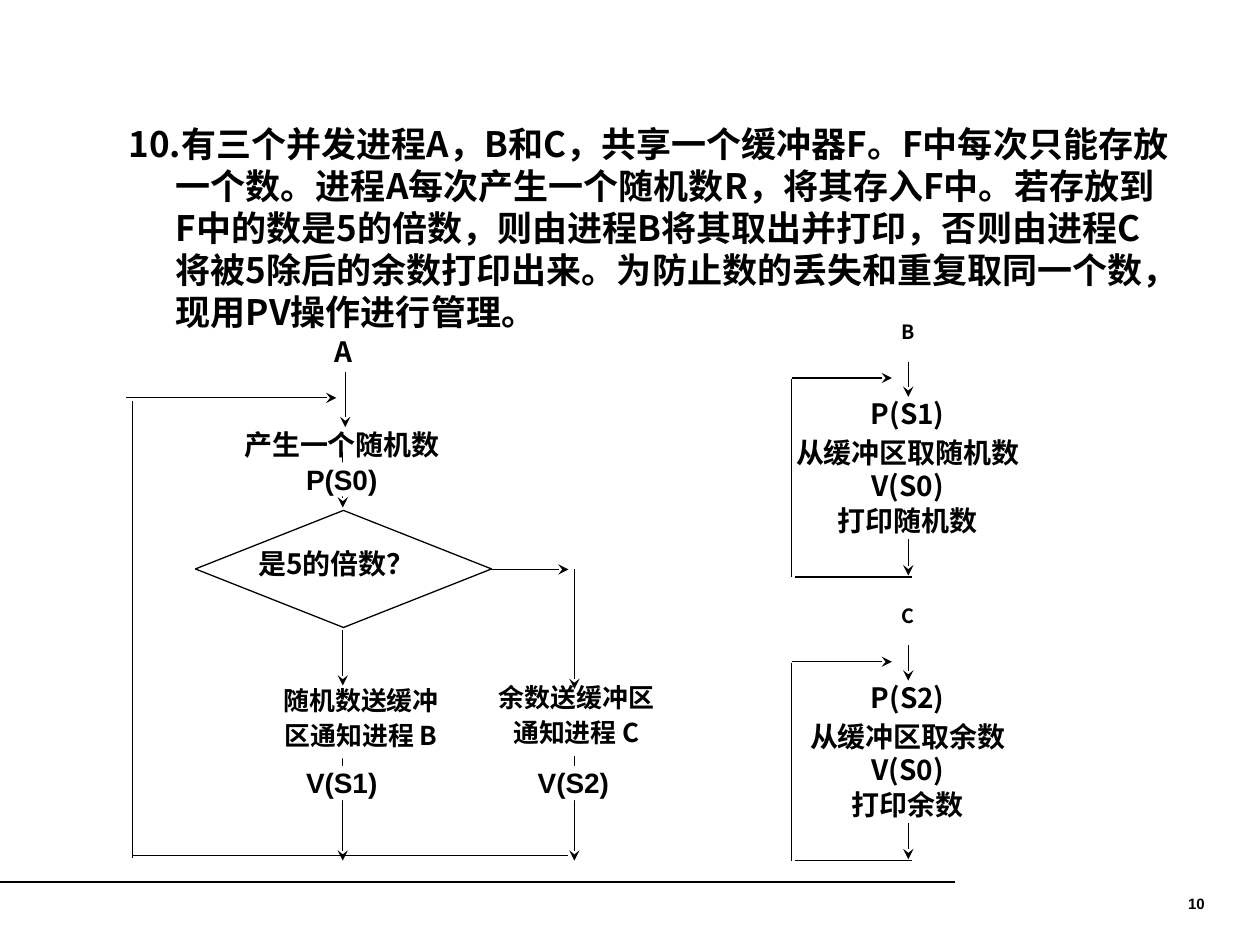
from lxml.etree import SubElement
from pptx import Presentation
from pptx.dml.color import RGBColor
from pptx.enum.shapes import MSO_CONNECTOR, MSO_SHAPE
from pptx.enum.text import MSO_ANCHOR as Anchor, PP_ALIGN as Align
from pptx.oxml.ns import qn
from pptx.util import Cm, Pt

COLORS = {"ink": "000000", "paper": "FFFFFF"}
CJK, LATIN = "Noto Sans CJK SC", "Arial"


def color(name):
    return RGBColor.from_string(COLORS[name])


def format_para(para, size, font=CJK, align=Align.CENTER, spacing=None, hanging=False):
    props = para._p.get_or_add_pPr()
    props.set("marL", str(Cm(0.95) if hanging else 0))
    props.set("indent", str(-Cm(0.95) if hanging else 0))
    SubElement(props, qn("a:buNone"))
    para.alignment = align
    para.space_before = Pt(0)
    if spacing:
        para.line_spacing = spacing
    para.font.size = Pt(size)
    para.font.bold = True
    para.font.color.rgb = color("ink")
    para.font.name = font
    SubElement(props.find(qn("a:defRPr")), qn("a:ea")).set("typeface", font)


def set_frame(frame, side=0.0, edge=0.0):
    frame.word_wrap = True
    frame.vertical_anchor = Anchor.TOP
    frame.margin_left = frame.margin_right = Cm(side)
    frame.margin_top = frame.margin_bottom = Cm(edge)


def add_label(page, lines, left, top, width, height, size=16, filled=True, side=0.0,
              edge=0.0, **style):
    area = Cm(left), Cm(top), Cm(width), Cm(height)
    if filled:
        box = page.shapes.add_shape(MSO_SHAPE.RECTANGLE, *area)
        box.shadow.inherit = False
        box.fill.solid()
        box.fill.fore_color.rgb = color("paper")
        box.line.fill.background()
    else:
        box = page.shapes.add_textbox(*area)
    frame = box.text_frame
    set_frame(frame, side, edge)
    for index, line in enumerate(lines):
        para = frame.add_paragraph() if index else frame.paragraphs[0]
        para.text = line
        format_para(para, size, **style)
        if index:
            para.space_before = Pt(4)


def add_line(page, left, top, start, end, arrow=False):
    """Draw a line between two points given from the corner left, top."""
    line = page.shapes.add_connector(
        MSO_CONNECTOR.STRAIGHT, Cm(left + start[0]), Cm(top + start[1]),
        Cm(left + end[0]), Cm(top + end[1]))
    line.line.color.rgb = color("ink")
    line.line.width = Pt(0.75)
    if arrow:
        SubElement(line.line._get_or_add_ln(), qn("a:tailEnd")).set("type", "stealth")
    SubElement(line._element.spPr, qn("a:effectLst"))


def add_question(page, left, top, width, height):
    page.shapes.title._element.getparent().remove(page.shapes.title._element)
    body = page.placeholders[1]
    body.left, body.top, body.width, body.height = Cm(left), Cm(top), Cm(width), Cm(height)
    set_frame(body.text_frame, 0.25, 0.13)
    para = body.text_frame.paragraphs[0]
    para.text = ("10.有三个并发进程A，B和C，共享一个缓冲器F。F中每次只能存放一个数。"
                 "进程A每次产生一个随机数R，将其存入F中。若存放到F中的数是5的倍数，"
                 "则由进程B将其取出并打印，否则由进程C将被5除后的余数打印出来。"
                 "为防止数的丢失和重复取同一个数，现用PV操作进行管理。")
    format_para(para, 20, align=Align.LEFT, hanging=True)


def add_consumer(page, left, top, width, name, steps):
    """Loop of a process that takes a number from the buffer."""
    add_label(page, [name], left, top, width, 0.51, size=11.2, spacing=0.8)
    for step, offset in zip(steps, (1.45, 2.24, 2.9, 3.61)):
        add_label(page, [step], left, top + offset, width, 0.71, filled=False)
    for start, end, arrow in (
            ((2.87, 0.74), (2.87, 1.45), True),
            ((2.87, 4.32), (2.87, 5.05), True),
            ((0.58, 5.08), (2.95, 5.08), False),
            ((0.51, 1.09), (0.51, 5.08), False),
            ((0.53, 1.07), (2.54, 1.07), True)):
        add_line(page, left, top, start, end, arrow)


def add_producer(page, left, top):
    """Flowchart of the process that fills the buffer."""
    main, branch = 4.37, 9.04

    # Both exits run behind the text of the branches
    for x in (main, branch):
        add_line(page, left, top, (x, 7.44), (x, 10.57), True)
    for lines, x, y in ((["余数送缓冲区", "通知进程 C"], 7.01, 7.04),
                        (["随机数送缓冲", "区通知进程 B"], 2.67, 7.09)):
        add_label(page, lines, left + x, top + y, 4.14, 1.42, size=14.8, spacing=0.9)
    add_label(page, ["A"], left + 0.56, top, 7.65, 0.79, spacing=0.96)
    add_label(page, ["产生一个随机数"], left + 0.53, top + 1.83, 7.65, 1.12)

    # Decision
    diamond = page.shapes.add_shape(
        MSO_SHAPE.FLOWCHART_DECISION, Cm(left + 1.4), Cm(top + 3.51), Cm(5.97), Cm(2.36))
    diamond.shadow.inherit = False
    diamond.fill.solid()
    diamond.fill.fore_color.rgb = color("paper")
    diamond.line.color.rgb = color("ink")
    diamond.line.width = Pt(0.75)
    add_label(page, ["是5的倍数？"], left + 2.67, top + 4.24, 3.4, 0.76, filled=False,
              align=Align.JUSTIFY, hanging=True)

    # Flow and return loop
    for start, end, arrow in (
            ((4.42, 0.71), (4.42, 1.83), True),
            ((main, 2.34), (main, 3.45), True),
            ((main, 5.92), (main, 7.04), True),
            ((7.34, 4.7), (8.92, 4.7), True),
            ((branch, 4.7), (branch, 7.11), True),
            ((0.13, 10.46), (8.92, 10.46), False),
            ((0.13, 1.3), (0.13, 10.52), False),
            ((0, 1.24), (4.24, 1.24), True)):
        add_line(page, left, top, start, end, arrow)

    # Semaphore operations
    for text, x, y in (("P(S0)", 3.38, 2.54), ("V(S1)", 3.38, 8.66), ("V(S2)", 8.05, 8.66)):
        add_label(page, [text], left + x, top + y, 2.11, 0.69, side=0.25,
                  font=LATIN, align=Align.LEFT)


def add_footer(page, left, top, width):
    add_line(page, left, top, (0, 0), (19.25, 0))
    add_label(page, ["10"], left + width - 6.78, top + 0.2, 5.92, 0.69, size=8.6,
              filled=False, side=0.25, edge=0.13, font=LATIN, align=Align.RIGHT, spacing=0.8)


def main():
    deck = Presentation()
    deck.slide_width, deck.slide_height = Cm(25.4), Cm(19.05)
    page = deck.slides.add_slide(deck.slide_layouts[1])
    add_footer(page, 0, 17.78, 25.4)
    add_question(page, 2.34, 2.34, 21.59, 14.6)
    consumers = (("B", ("P(S1)", "从缓冲区取随机数", "V(S0)", "打印随机数")),
                 ("C", ("P(S2)", "从缓冲区取余数", "V(S0)", "打印余数")))
    for index, (name, steps) in enumerate(consumers):
        add_consumer(page, 15.44, 6.55 + 5.72 * index, 5.72, name, steps)
    add_producer(page, 2.54, 6.78)
    deck.save("out.pptx")


if __name__ == "__main__":
    main()
